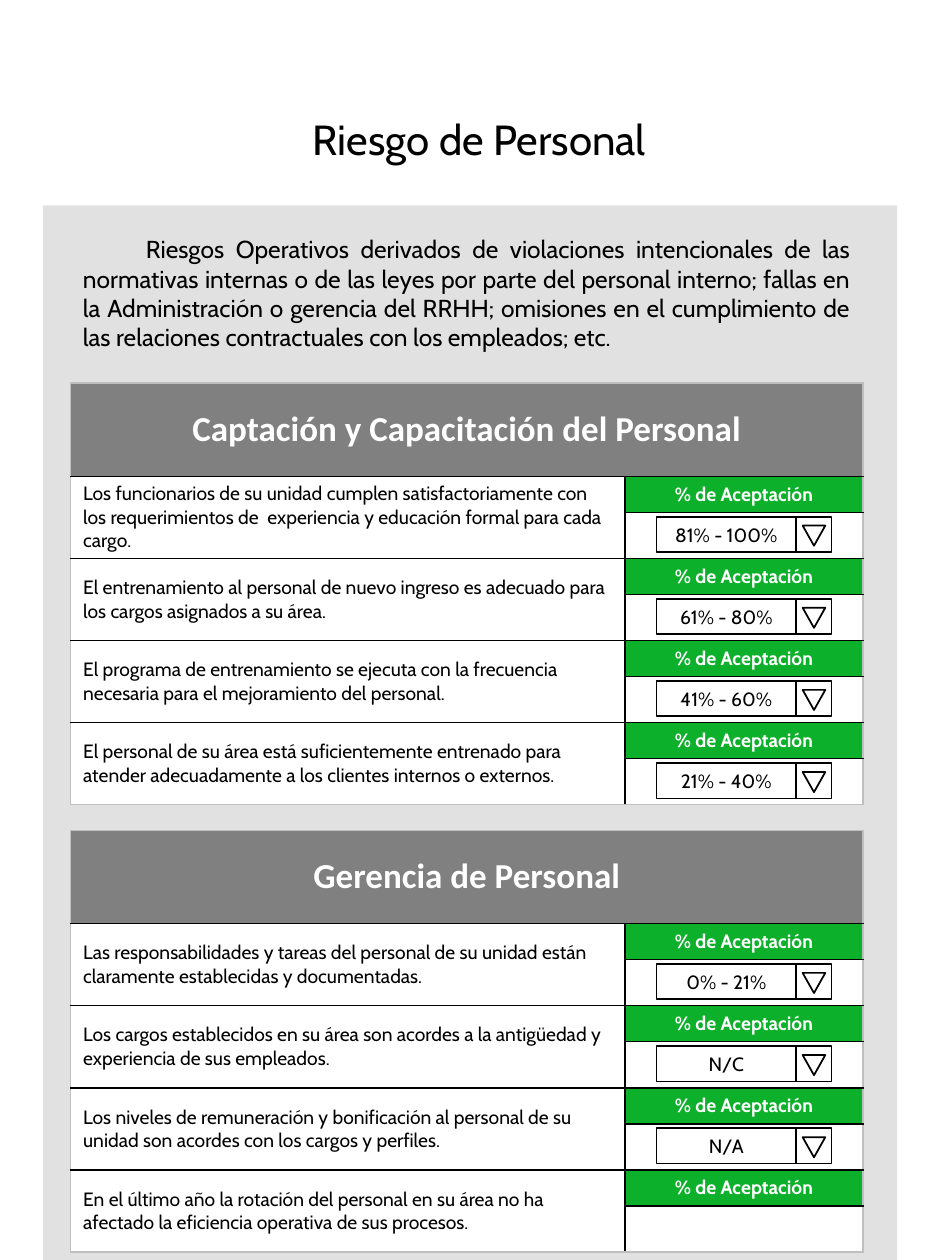
from lxml import etree
from pptx import Presentation
from pptx.dml.color import RGBColor
from pptx.enum.shapes import MSO_SHAPE
from pptx.enum.text import MSO_ANCHOR, PP_ALIGN
from pptx.oxml.ns import qn
from pptx.util import Inches, Pt

CENTER, JUSTIFY, LEFT = PP_ALIGN.CENTER, PP_ALIGN.JUSTIFY, PP_ALIGN.LEFT
MIDDLE, TOP = MSO_ANCHOR.MIDDLE, MSO_ANCHOR.TOP
RECTANGLE, TRIANGLE = MSO_SHAPE.RECTANGLE, MSO_SHAPE.ISOSCELES_TRIANGLE
ROUNDED_END = MSO_SHAPE.ROUND_2_SAME_RECTANGLE

BLACK = RGBColor(0x00, 0x00, 0x00)
WHITE = RGBColor(0xFF, 0xFF, 0xFF)
PANEL_GRAY = RGBColor(0xD9, 0xD9, 0xD9)
HEADER_GRAY = RGBColor(0x80, 0x80, 0x80)
EDGE_GRAY = RGBColor(0xBF, 0xBF, 0xBF)
GREEN = RGBColor(0x0D, 0xB0, 0x2B)

# Survey grid, in inches
QUESTION_W, ANSWER_W = 4.4, 1.89
HEADER_H, LABEL_H, VALUE_H = 0.74, 0.286, 0.366
SURVEY_LEFT = 0.56
SURVEY_W = QUESTION_W + ANSWER_W

TITLE = "Riesgo de Personal"
INTRO = (
    "Riesgos Operativos derivados de violaciones intencionales de las normativas "
    "internas o de las leyes por parte del personal interno; fallas en la "
    "Administración o gerencia del RRHH; omisiones en el cumplimiento de las "
    "relaciones contractuales con los empleados; etc."
)
ANSWER_LABEL = "% de Aceptación"

# Each survey: top, heading, (question, selected answer)
SURVEYS = [
    (3.04, "Captación y Capacitación del Personal", [
        ("Los funcionarios de su unidad cumplen satisfactoriamente con los "
         "requerimientos de  experiencia y educación formal para cada cargo.",
         "81% - 100%"),
        ("El entrenamiento al personal de nuevo ingreso es adecuado para los "
         "cargos asignados a su área.", "61% - 80%"),
        ("El programa de entrenamiento se ejecuta con la frecuencia necesaria "
         "para el mejoramiento del personal.", "41% - 60%"),
        ("El personal de su área está suficientemente entrenado para atender "
         "adecuadamente a los clientes internos o externos.", "21% - 40%"),
    ]),
    (6.59, "Gerencia de Personal", [
        ("Las responsabilidades y tareas del personal de su unidad están "
         "claramente establecidas y documentadas.", "0% - 21%"),
        ("Los cargos establecidos en su área son acordes a la antigüedad y "
         "experiencia de sus empleados.", "N/C"),
        ("Los niveles de remuneración y bonificación al personal de su unidad "
         "son acordes con los cargos y perfiles.", "N/A"),
        ("En el último año la rotación del personal en su área no ha afectado "
         "la eficiencia operativa de sus procesos.", None),
    ]),
]


def write(frame, text, size, color=BLACK, align=CENTER, bold=False, font="Cabin"):
    paragraph = frame.paragraphs[0]
    paragraph.text = text
    paragraph.alignment = align
    paragraph.font.name = font
    paragraph.font.size = Pt(size)
    paragraph.font.bold = bold
    paragraph.font.color.rgb = color
    return paragraph


def add_text(slide, box, text, size, align, wrap):
    frame = slide.shapes.add_textbox(*map(Inches, box)).text_frame
    frame.word_wrap = wrap
    return write(frame, text, size, align=align)


def add_outlined(slide, kind, box):
    shape = slide.shapes.add_shape(kind, *map(Inches, box))
    shape.shadow.inherit = False
    shape.fill.solid()
    shape.fill.fore_color.rgb = WHITE
    shape.line.color.rgb = BLACK
    shape.line.width = Pt(1)
    return shape


def add_panel(slide, box):
    panel = slide.shapes.add_shape(ROUNDED_END, *map(Inches, box))
    panel.rotation = 180
    panel.adjustments[0] = 0.04
    panel.shadow.inherit = False
    panel.line.fill.background()
    panel.fill.solid()
    panel.fill.fore_color.rgb = PANEL_GRAY
    color = panel.fill._xPr.find(".//" + qn("a:srgbClr"))
    etree.SubElement(color, qn("a:alpha")).set("val", "78000")


def set_borders(cell, **edges):
    """Draw a 1 pt line on each edge named (L, R, T, B) in its colour."""
    properties = cell._tc.get_or_add_tcPr()
    present = [edge for edge in "LRTB" if edge in edges]
    for position, edge in enumerate(present):
        line = etree.Element(qn("a:ln" + edge), w=str(Pt(1)))
        fill = etree.SubElement(line, qn("a:solidFill"))
        etree.SubElement(fill, qn("a:srgbClr"), val=str(edges[edge]))
        properties.insert(position, line)


def fill_cell(cell, color, text, size=11, text_color=BLACK, **style):
    cell.fill.solid()
    cell.fill.fore_color.rgb = color
    cell.vertical_anchor = MIDDLE
    write(cell.text_frame, text, size, text_color, **style)


def add_dropdown(slide, left, top, answer):
    """Answer box and arrow button, placed in the value cell at left, top."""
    side = 0.28
    box_left, button_left = left + 0.25, left + 1.36
    top += 0.035
    answer_box = add_outlined(slide, RECTANGLE, (box_left, top, 1.11, side))
    frame = answer_box.text_frame
    frame.vertical_anchor = MIDDLE
    write(frame, answer, 11)
    add_outlined(slide, RECTANGLE, (button_left, top, side, side))
    arrow = add_outlined(slide, TRIANGLE, (button_left + 0.05, top + 0.07, 0.18, 0.16))
    arrow.rotation = 180


def add_survey(slide, left, top, heading, items):
    row_heights = [HEADER_H] + [LABEL_H, VALUE_H] * len(items)
    table = slide.shapes.add_table(
        len(row_heights), 2, Inches(left), Inches(top),
        Inches(SURVEY_W), Inches(sum(row_heights))).table
    for column, width in zip(table.columns, (QUESTION_W, ANSWER_W)):
        column.width = Inches(width)
    for row, height in zip(table.rows, row_heights):
        row.height = Inches(height)

    # Heading across both columns
    table.cell(0, 0).merge(table.cell(0, 1))
    fill_cell(table.cell(0, 0), HEADER_GRAY, heading, 20, WHITE, bold=True, font="Calibri")
    for column in range(2):
        set_borders(table.cell(0, column), L=EDGE_GRAY, R=EDGE_GRAY, T=EDGE_GRAY, B=BLACK)

    # One question with its label and value cells per item
    for index, (question, answer) in enumerate(items):
        row = 1 + 2 * index
        bottom = EDGE_GRAY if index == len(items) - 1 else BLACK
        asked, below = table.cell(row, 0), table.cell(row + 1, 0)
        label, value = table.cell(row, 1), table.cell(row + 1, 1)
        asked.merge(below)
        asked.margin_top = asked.margin_bottom = Inches(0.03)
        fill_cell(asked, WHITE, question, align=LEFT)
        fill_cell(label, GREEN, ANSWER_LABEL, text_color=WHITE, bold=True)
        fill_cell(value, WHITE, "")
        set_borders(asked, L=EDGE_GRAY, R=BLACK, T=BLACK, B=bottom)
        set_borders(below, L=EDGE_GRAY, R=BLACK, B=bottom)
        set_borders(label, L=BLACK, R=EDGE_GRAY, T=BLACK, B=BLACK)
        set_borders(value, L=BLACK, R=EDGE_GRAY, T=BLACK, B=bottom)
        if answer:
            add_dropdown(slide, left + QUESTION_W, top + sum(row_heights[:row + 1]), answer)


def main():
    deck = Presentation()
    deck.slide_width, deck.slide_height = Inches(7.5), Inches(10)
    slide = deck.slides.add_slide(deck.slide_layouts[6])

    add_text(slide, (2.3, 0.85, 3.01, 0.5), TITLE, 24, CENTER, wrap=False)
    add_panel(slide, (0.34, 1.63, 6.78, 10.34))
    intro = add_text(slide, (SURVEY_LEFT, 1.81, SURVEY_W, 1.04), INTRO, 14, JUSTIFY, wrap=True)
    intro._p.get_or_add_pPr().set("indent", str(Inches(0.5)))
    for top, heading, items in SURVEYS:
        add_survey(slide, SURVEY_LEFT, top, heading, items)

    deck.save("out.pptx")


if __name__ == "__main__":
    main()
